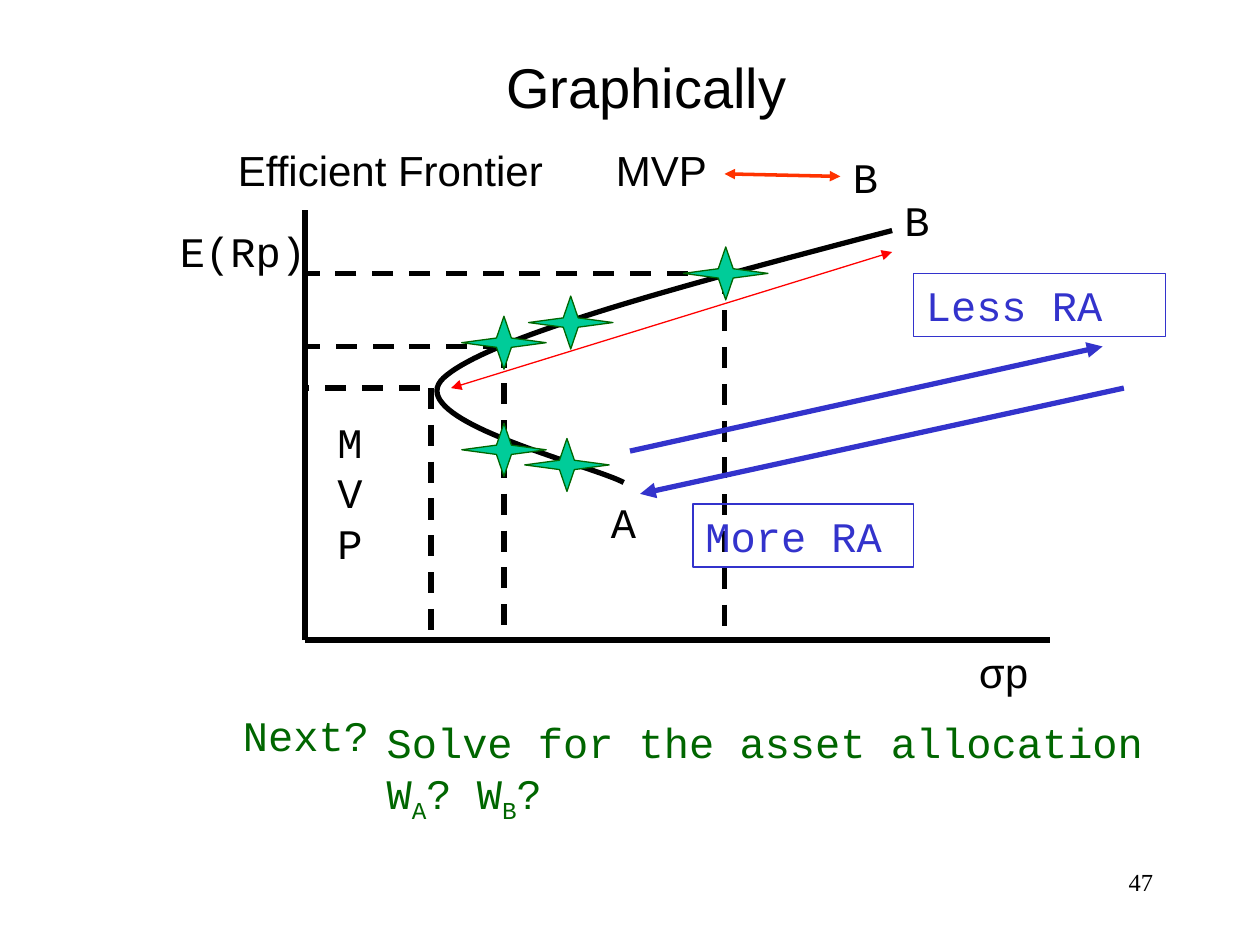
from dataclasses import dataclass

from lxml import etree
from pptx import Presentation
from pptx import util as u
from pptx.dml import color
from pptx.enum import dml, shapes, text
from pptx.oxml import ns

BLACK, BLUE, GREEN = "000000", "3333CC", "006600"
ORIGIN_X, ORIGIN_Y = 2.42, 5.08


@dataclass
class Line:
    start: tuple[float, float]
    end: tuple[float, float]
    color: str = BLACK
    width: float = 3
    dashed: bool = False
    arrows: tuple[str, ...] = ()


@dataclass
class Label:
    words: str
    left: float
    top: float
    width: float
    height: float = 0.5
    color: str = BLACK
    font: str = "Courier New"
    size: float = 24
    align: text.PP_ALIGN = text.PP_ALIGN.LEFT
    anchor: text.MSO_ANCHOR = text.MSO_ANCHOR.TOP
    framed: bool = False


def rgb(value: str) -> color.RGBColor:
    return color.RGBColor.from_string(value)


def set_values(target, values: dict) -> None:
    for name, value in values.items():
        setattr(target, name, value)


def set_outline(item, line_color: str, width: float) -> None:
    item.line.color.rgb = rgb(line_color)
    item.line.width = u.Pt(width)


def draw_line(page, line: Line) -> None:
    ends = [u.Inches(value) for value in (*line.start, *line.end)]
    connector = page.shapes.add_connector(shapes.MSO_CONNECTOR.STRAIGHT, *ends)
    set_outline(connector, line.color, line.width)
    if line.dashed:
        connector.line.dash_style = dml.MSO_LINE.DASH
    properties = connector._element.spPr
    outline = properties.find(ns.qn("a:ln"))
    for arrow in line.arrows:
        etree.SubElement(outline, ns.qn(f"a:{arrow}"), type="triangle")
    etree.SubElement(properties, ns.qn("a:effectLst"))


def draw_label(page, label: Label) -> None:
    place = [u.Inches(value) for value in (label.left, label.top, label.width, label.height)]
    if label.framed:
        box = page.shapes.add_shape(shapes.MSO_SHAPE.RECTANGLE, *place)
        box.shadow.inherit = False
        box.fill.background()
        set_outline(box, label.color, 0.75)
    else:
        box = page.shapes.add_textbox(*place)
    set_values(box.text_frame, {"word_wrap": True, "vertical_anchor": label.anchor})
    para = box.text_frame.paragraphs[0]
    para.alignment = label.align
    if label.font == "Courier New" and "_" not in label.words:
        para.line_spacing = u.Pt(29)
    for index, words in enumerate(label.words.split("_")):
        span = para.add_run()
        span.text = words
        set_values(span.font, {"name": label.font, "size": u.Pt(label.size)})
        span.font.color.rgb = rgb(label.color)
        if index % 2:
            span.font._element.set("baseline", "-25000")


def draw_star(page, center: tuple[float, float]) -> None:
    width, height = 0.67, 0.42
    place = (center[0] - width / 2, center[1] - height / 2, width, height)
    star = page.shapes.add_shape(shapes.MSO_SHAPE.STAR_4_POINT, *map(u.Inches, place))
    star.shadow.inherit = False
    star.fill.solid()
    star.fill.fore_color.rgb = rgb("00CC99")
    set_outline(star, GREEN, 0.75)


def bezier(points: list[tuple[float, float]], steps: int = 40) -> list[tuple[int, int]]:
    curve = []
    for step in range(steps + 1):
        t = step / steps
        weights = ((1 - t) ** 3, 3 * t * (1 - t) ** 2, 3 * t**2 * (1 - t), t**3)
        curve.append(tuple(
            u.Inches(sum(w * p[axis] for w, p in zip(weights, points))) for axis in (0, 1)
        ))
    return curve


def draw_frontier(page) -> None:
    upper = bezier([(7.08, 1.83), (5.48, 2.25), (3.88, 2.67), (3.52, 3)])
    lower = bezier([(3.52, 3), (3.17, 3.33), (4.69, 3.69), (4.95, 3.83)])
    points = upper + lower[1:]
    builder = page.shapes.build_freeform(*points[0])
    builder.add_line_segments(points[1:], close=False)
    frontier = builder.convert_to_shape()
    frontier.shadow.inherit = False
    frontier.fill.background()
    set_outline(frontier, BLACK, 3)


BOTH = ("headEnd", "tailEnd")
AXES = [
    Line((8.33, ORIGIN_Y), (ORIGIN_X, ORIGIN_Y)),
    Line((ORIGIN_X, ORIGIN_Y), (ORIGIN_X, 1.67)),
]
GUIDES = [
    Line(start, end, dashed=True)
    for x, y, row_start in ((3.42, 3.08, 3.33), (4, 2.75, 4), (5.75, 2.17, 5.75))
    for start, end in (((x, y), (x, ORIGIN_Y)), ((row_start, y), (ORIGIN_X, y)))
]
ARROWS = [
    Line((3.58, 3.08), (7.08, 2), "FF0000", 0.75, arrows=BOTH),
    Line((5, 3.58), (8.75, 2.75), BLUE, arrows=("tailEnd",)),
    Line((8.92, 3.08), (5.08, 3.92), BLUE, arrows=("tailEnd",)),
    Line((5.75, 1.38), (6.67, 1.4), "FF3300", 2, arrows=BOTH),
]
STARS = [(4.53, 2.56), (4, 2.72), (4.5, 3.69), (4, 3.57), (5.76, 2.17)]
LABELS = [
    Label("Graphically", 0.38, 0.13, 9.5, 1.1, font="Arial", size=32,
          align=text.PP_ALIGN.CENTER, anchor=text.MSO_ANCHOR.MIDDLE),
    Label("Efficient Frontier", 1.79, 1.1, 3.33, font="Arial"),
    Label("MVP", 4.79, 1.1, 1.58, font="Arial"),
    Label("B", 6.67, 1.15, 0.67),
    Label("B", 7.08, 1.49, 0.67),
    Label("A", 4.75, 3.89, 0.67),
    Label("E(Rp)", 1.33, 1.74, 1.25),
    Label("σp", 7.67, 5.08, 1.25),
    Label("MVP", 2.58, 3.25, 0.5, 1.3),
    Label("Less RA", 7.25, 2.17, 2, color=BLUE, framed=True),
    Label("More RA", 5.5, 4, 1.75, color=BLUE, framed=True),
    Label("Next?", 1.83, 5.58, 1.25, color=GREEN),
    Label("Solve for the asset allocation W_A_? W_B_?", 2.97, 5.64, 6.25, 0.56, GREEN),
    Label("47", 7.17, 6.83, 2.08, font="Times New Roman", size=14, align=text.PP_ALIGN.RIGHT),
]


def main() -> None:
    deck = Presentation()
    set_values(deck, {"slide_width": u.Inches(10), "slide_height": u.Inches(7.5)})
    page = deck.slides.add_slide(deck.slide_layouts[6])
    for line in AXES:
        draw_line(page, line)
    draw_frontier(page)
    for line in GUIDES + ARROWS:
        draw_line(page, line)
    for center in STARS:
        draw_star(page, center)
    for label in LABELS:
        draw_label(page, label)
    deck.save("out.pptx")


if __name__ == "__main__":
    main()
